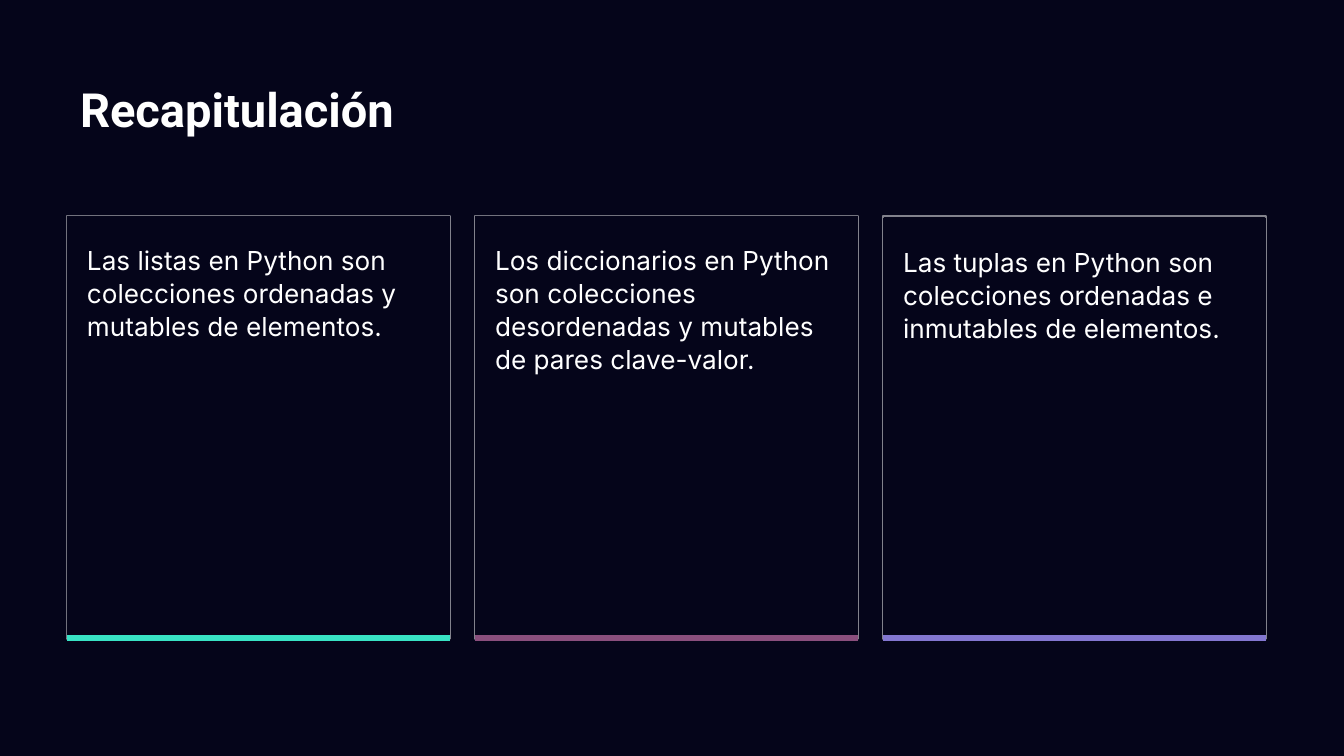
"""Build the recap slide: a title above three cards with coloured base lines."""
from lxml import etree
from pptx import Presentation, util as u
from pptx.dml.color import RGBColor
from pptx.enum import shapes, text
from pptx.oxml.ns import qn

TITLE = "Recapitulación"
CARDS = [
    ("Las listas en Python son colecciones ordenadas y mutables de elementos.", "39E3C5", 216),
    ("Los diccionarios en Python son colecciones desordenadas y mutables de pares clave-valor.",
     "8A4F7D", 216),
    ("Las tuplas en Python son colecciones ordenadas e inmutables de elementos.", "8377D1", 218),
]
NIGHT, WHITE = "05051A", "FFFFFF"
LEFT, TOP, WIDTH, HEIGHT, GAP = 67, 216, 383, 423, 25
BASE = 638


def px(n):
    """Turn pixels into EMU."""
    return u.Emu(round(n * 9144000 / 1344))


def rgb(value):
    """Turn a hex string into a colour."""
    return RGBColor.from_string(value)


def place(sp, x, y, w, h):
    """Move and size a shape in pixels."""
    sp.left, sp.top, sp.width, sp.height = px(x), px(y), px(w), px(h)


def write(sp, words, size, font, bold=False, insets=(13, 13, 13, 13),
          anchor=text.MSO_ANCHOR.TOP, spacing=1.0, after=0):
    """Put one formatted, left-aligned paragraph in a shape."""
    tf = sp.text_frame
    tf.word_wrap, tf.auto_size, tf.vertical_anchor = True, text.MSO_AUTO_SIZE.NONE, anchor
    tf.margin_left, tf.margin_top, tf.margin_right, tf.margin_bottom = map(px, insets)
    p = tf.paragraphs[0]
    p.alignment, p.line_spacing = text.PP_ALIGN.LEFT, spacing
    p.space_before, p.space_after = u.Pt(0), u.Pt(after)
    pPr = p._p.get_or_add_pPr()
    pPr.set("marL", "0")
    pPr.set("indent", "0")
    etree.SubElement(pPr, qn("a:buNone"))
    r = p.add_run()
    r.text = words
    r.font.size, r.font.name, r.font.bold = u.Pt(size), font, bold
    r.font.color.rgb = rgb(WHITE)


def frame(s, x):
    """Draw a card outline in half-transparent white."""
    sp = s.shapes.add_shape(shapes.MSO_SHAPE.RECTANGLE, px(x), px(TOP), px(WIDTH), px(HEIGHT))
    sp.shadow.inherit = False
    sp.fill.solid()
    sp.fill.fore_color.rgb = rgb(NIGHT)
    sp.line.color.rgb = rgb(WHITE)
    sp.line.width = u.Pt(1)
    color = sp.line._ln.find(".//" + qn("a:srgbClr"))
    etree.SubElement(color, qn("a:alpha")).set("val", "50000")


def base_line(s, x, color):
    """Draw the coloured line at the foot of a card."""
    line = s.shapes.add_connector(shapes.MSO_CONNECTOR.STRAIGHT,
                                  px(x), px(BASE), px(x + WIDTH), px(BASE))
    line.line.color.rgb = rgb(color)
    line.line.width = u.Pt(3)
    etree.SubElement(line._element.spPr, qn("a:effectLst"))


def main():
    """Lay out the slide and save it."""
    prs = Presentation()
    prs.slide_width, prs.slide_height = px(1344), px(756)
    s = prs.slides.add_slide(prs.slide_layouts[4])
    s.background.fill.solid()
    s.background.fill.fore_color.rgb = rgb(NIGHT)

    title, *bodies, spare = s.placeholders
    spare.element.getparent().remove(spare.element)
    place(title, LEFT, 66, 1210, 85)
    write(title, TITLE, 25.2, "Roboto", bold=True, anchor=text.MSO_ANCHOR.MIDDLE)

    lefts = [LEFT + i * (WIDTH + GAP) for i in range(len(CARDS))]
    for x in lefts:
        frame(s, x)
    for body, x, (words, color, top) in zip(bodies, lefts, CARDS):
        s.shapes.element.append(body.element)
        place(body, x, top, WIDTH, HEIGHT - 1)
        body.fill.solid()
        body.fill.fore_color.rgb = rgb(NIGHT)
        write(body, words, 14, "Inter", insets=(20, 27, 20, 13), spacing=1.05, after=10)
        base_line(s, x, color)
    prs.save("out.pptx")


if __name__ == "__main__":
    main()
